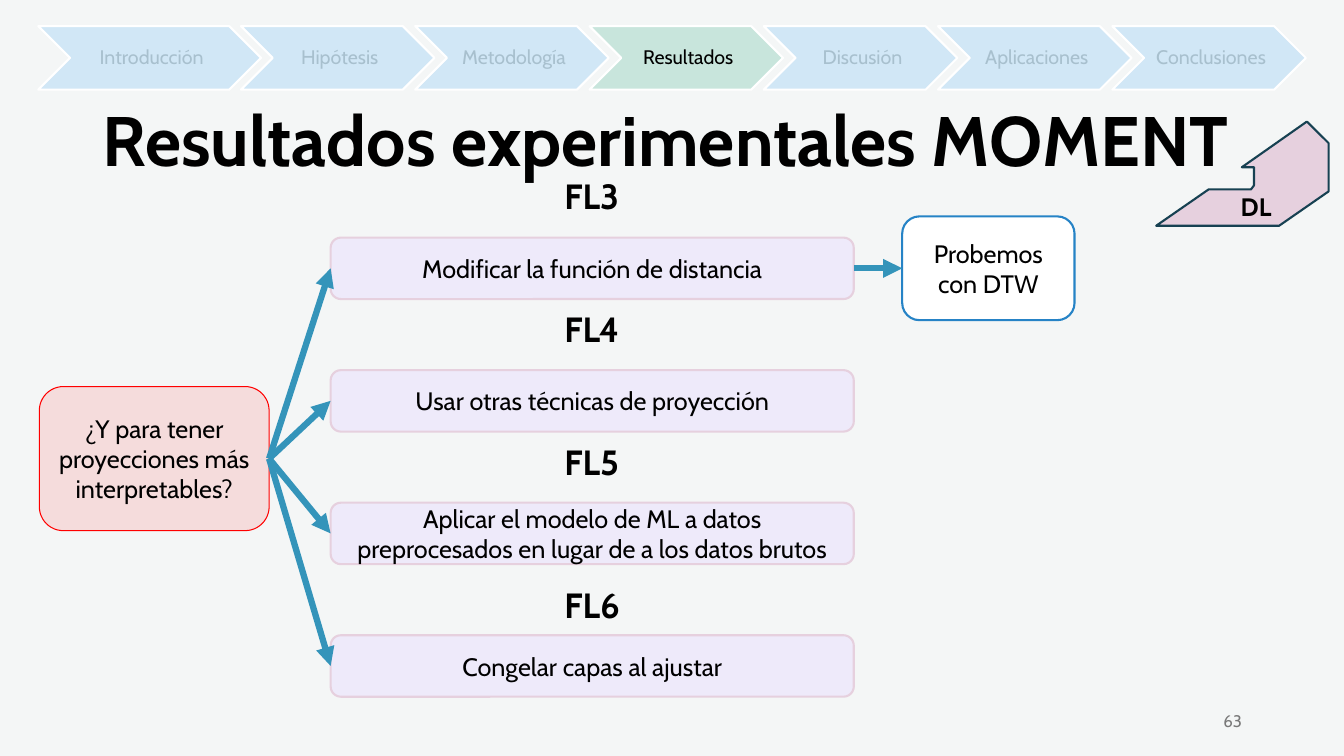
from dataclasses import dataclass

from lxml.etree import SubElement
from pptx import Presentation
from pptx.dml.color import RGBColor
from pptx.enum.shapes import MSO_CONNECTOR as Connector, MSO_SHAPE as Shape
from pptx.enum.text import MSO_ANCHOR as Anchor, MSO_AUTO_SIZE as AutoSize, PP_ALIGN as Align
from pptx.oxml.ns import qn
from pptx.util import Inches, Pt


@dataclass(frozen=True)
class Theme:
    font: str = "Cabin"
    background: str = "F4F6F6"
    ink: str = "000000"
    page_ink: str = "797979"
    step: str = "D1E7F6"
    step_ink: str = "A8C0CE"
    active_step: str = "C8E5DC"
    white: str = "FFFFFF"
    red: str = "FF0000"
    option: str = "EEEAFA"
    pink: str = "E6D0DE"
    tag_line: str = "174152"
    next_line: str = "2683C6"
    arrow: str = "3494BA"
    title_size: int = 50
    label_size: int = 25
    body_size: int = 18
    step_size: int = 14
    page_size: int = 12


THEME = Theme()
COLUMNS, ROWS = 133.33, 75  # square grid cells of a tenth of an inch

STEPS = ["Introducción", "Hipótesis", "Metodología", "Resultados",
         "Discusión", "Aplicaciones", "Conclusiones"]
ACTIVE_STEP = "Resultados"
OPTIONS = [  # label, row of the label, text
    ("FL3", 16.85, "Modificar la función de distancia"),
    ("FL4", 30.05, "Usar otras técnicas de proyección"),
    ("FL5", 43.2, "Aplicar el modelo de ML a datos preprocesados en lugar de a los datos brutos"),
    ("FL6", 57.4, "Congelar capas al ajustar"),
]
TAG_OUTLINE = [  # hundredths of an inch
    (1296, 121), (1297, 121), (1318, 142), (1318, 190), (1269, 224), (1147, 224),
    (1199, 188), (1241, 188), (1244, 184), (1244, 166), (1232, 166)]


def cells(*counts):
    return [Inches(count / 10) for count in counts]


def rgb(code):
    return RGBColor.from_string(code)


def write(frame, text, size, color=THEME.ink, bold=False, align=Align.CENTER,
          anchor=Anchor.MIDDLE, wrap=True, spacing=None):
    frame.word_wrap = wrap
    frame.vertical_anchor = anchor
    frame.text = text
    paragraph = frame.paragraphs[0]
    paragraph.alignment = align
    if spacing:
        paragraph.line_spacing = spacing
    font = paragraph.runs[0].font
    font.name, font.size, font.bold = THEME.font, Pt(size), bold
    font.color.rgb = rgb(color)


def paint(shape, fill, line, width=1.5):
    shape.shadow.inherit = False
    shape.fill.solid()
    shape.fill.fore_color.rgb = rgb(fill)
    shape.line.color.rgb = rgb(line)
    shape.line.width = Pt(width)


def add_label(slide, place, text, size, **style):
    frame = slide.shapes.add_textbox(*cells(*place)).text_frame
    write(frame, text, size, **style)
    return frame


def add_box(slide, place, text, fill, line, width=1.5):
    box = slide.shapes.add_shape(Shape.FLOWCHART_ALTERNATE_PROCESS, *cells(*place))
    paint(box, fill, line, width)
    write(box.text_frame, text, THEME.body_size)
    return box


def make_transparent(shape, percent_opaque):
    color = shape.fill._xPr.find(qn("a:solidFill"))[0]
    SubElement(color, qn("a:alpha"), val=str(percent_opaque * 1000))


def add_arrow(slide, source, target):
    """Join the right side of source to the left side of target."""
    arrow = slide.shapes.add_connector(Connector.STRAIGHT, 0, 0, 0, 0)
    arrow.begin_connect(source, 3)
    arrow.end_connect(target, 1)
    arrow.line.color.rgb = rgb(THEME.arrow)
    arrow.line.width = Pt(4.5)
    SubElement(arrow.line._get_or_add_ln(), qn("a:tailEnd"), type="triangle")
    SubElement(arrow._element.spPr, qn("a:effectLst"))


def add_step(slide, index, name):
    """Draw one chevron of the progress bar; the first one is longer."""
    active = name == ACTIVE_STEP
    top, height, width, pitch = 2.6, 6.3, 19.2, 17.29
    left = 23.9 + pitch * (index - 1)
    if index == 0:
        left, width = 3.8, 22.1
    chevron = slide.shapes.add_shape(Shape.CHEVRON, *cells(left, top, width, height))
    paint(chevron, THEME.active_step if active else THEME.step, THEME.white)
    frame = add_label(slide, (left + height / 2, top, width - height, height), name,
                      THEME.step_size, color=THEME.ink if active else THEME.step_ink,
                      spacing=0.9)
    frame.margin_left = Inches(0.06)
    frame.margin_right = frame.margin_top = frame.margin_bottom = Inches(0.02)


def add_tag(slide):
    builder = slide.shapes.build_freeform(*TAG_OUTLINE[0], scale=Inches(0.01))
    builder.add_line_segments(TAG_OUTLINE[1:], close=True)
    paint(builder.convert_to_shape(), THEME.pink, THEME.tag_line)
    add_label(slide, (122.1, 18.5, 6.1, 4), "DL", THEME.body_size, bold=True,
              align=Align.LEFT, anchor=Anchor.TOP)


def add_title(slide, text):
    title = slide.shapes.title
    title.left, title.top, title.width, title.height = cells(9.2, 4, 115, 14.5)
    title.text_frame.auto_size = AutoSize.NONE
    write(title.text_frame, text, THEME.title_size, bold=True,
          align=Align.LEFT, anchor=Anchor.BOTTOM, spacing=0.9)


def main():
    deck = Presentation()
    deck.slide_width, deck.slide_height = cells(COLUMNS, ROWS)
    slide = deck.slides.add_slide(deck.slide_layouts[5])
    slide.background.fill.solid()
    slide.background.fill.fore_color.rgb = rgb(THEME.background)

    add_title(slide, "Resultados experimentales MOMENT")
    add_label(slide, (94.2, 69.5, 30, 4), "63", THEME.page_size,
              color=THEME.page_ink, align=Align.RIGHT)
    for index, name in enumerate(STEPS):
        add_step(slide, index, name)
    add_tag(slide)

    question = add_box(slide, (3.9, 38.35, 22.8, 14.3),
                       "¿Y para tener proyecciones más interpretables?",
                       THEME.red, THEME.red, 0.75)
    make_transparent(question, 10)

    options = []
    for index, (label, label_row, text) in enumerate(OPTIONS):
        add_label(slide, (55, label_row, 7.6, 5.2), label, THEME.label_size, bold=True,
                  align=Align.LEFT, anchor=Anchor.TOP, wrap=False)
        option = add_box(slide, (32.8, 23.57 + 13.15 * index, 51.9, 6.1), text,
                         THEME.option, THEME.pink)
        add_arrow(slide, question, option)
        options.append(option)

    next_try = add_box(slide, (89.5, 21.47, 17.1, 10.3), "Probemos con DTW",
                       THEME.white, THEME.next_line)
    add_arrow(slide, options[0], next_try)
    deck.save("out.pptx")


if __name__ == "__main__":
    main()
